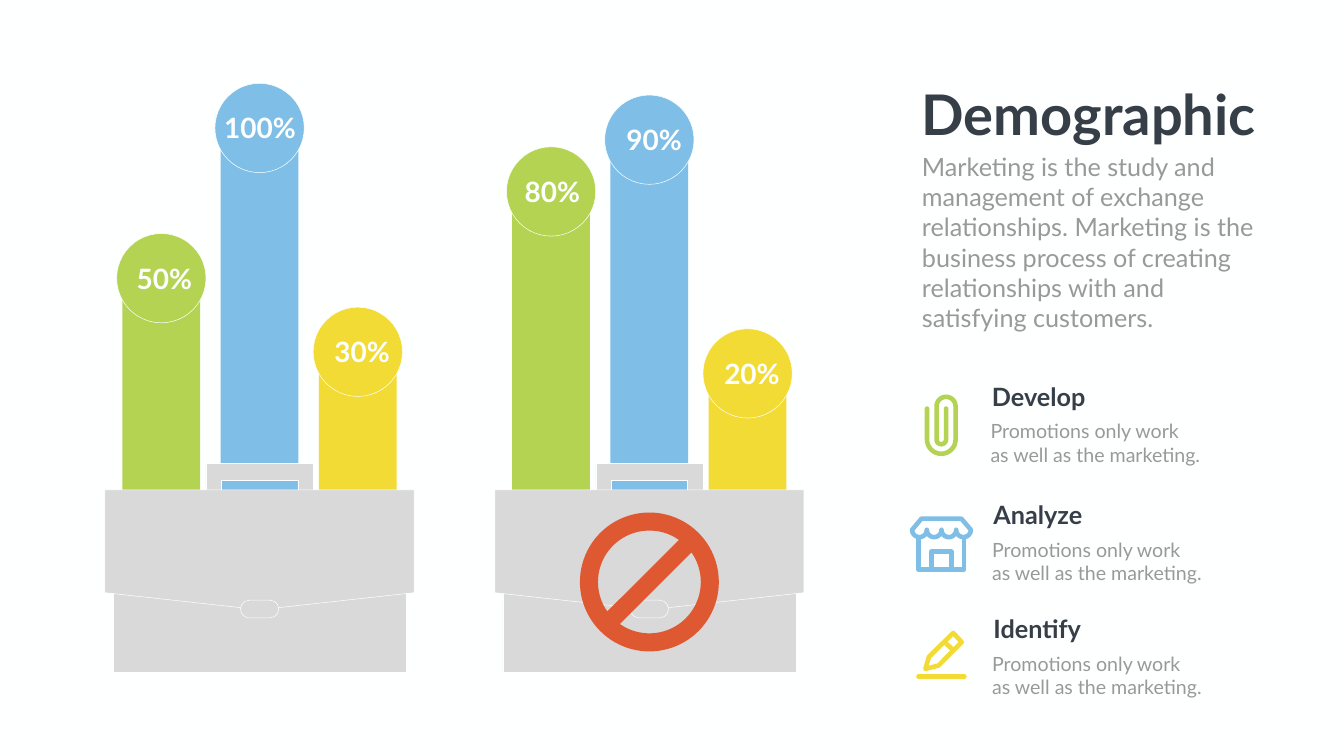
"""Build the Demographic slide with two briefcase bar charts and three topics."""
from math import cos, radians, sin

from lxml.etree import SubElement
from pptx import Presentation
from pptx.dml.color import RGBColor
from pptx.enum.shapes import MSO_SHAPE as Preset
from pptx.enum.text import MSO_ANCHOR as Anchor, MSO_AUTO_SIZE as AutoSize, PP_ALIGN as Align
from pptx.oxml.ns import qn
from pptx.util import Cm, Pt

FONT = "Lato"
WHITE = RGBColor(0xFE, 0xFF, 0xFF)
GREEN = RGBColor(0xB4, 0xD3, 0x52)
BLUE = RGBColor(0x7F, 0xBE, 0xE7)
YELLOW = RGBColor(0xF2, 0xDB, 0x34)
SILVER = RGBColor(0xD9, 0xD9, 0xD9)
RED = RGBColor(0xDE, 0x59, 0x31)
DARK = RGBColor(0x36, 0x3E, 0x48)
GRAY = RGBColor(0x99, 0x99, 0x99)

BASE = 24.69
BAR_WIDTH = 3.92
BAR_STEP = 4.95
BUBBLE = 4.5
LABEL_WIDTH, LABEL_HEIGHT = 4.62, 1.96
BAR_COLORS = (GREEN, BLUE, YELLOW)
CASES = (
    (13.08, (("50%", 14.02, 0.15), ("100%", 6.45, 0.02), ("30%", 17.73, 0.22))),
    (32.72, (("80%", 9.65, 0.06), ("90%", 7.04, 0.24), ("20%", 18.82, 0.22))),
)
TOPICS = (("Develop", 49.73, 19.08), ("Analyze", 49.81, 25.04), ("Identify", 49.81, 30.78))
DETAILS = ("Promotions only work", "as well as the marketing.")
DESCRIPTION = (
    "Marketing is the study and management of exchange relationships. Marketing is the "
    "business process of creating relationships with and satisfying customers."
)


def paint(shape, color, outlined=False):
    """Fill a shape and optionally give it a thin white outline."""
    shape.shadow.inherit = False
    shape.fill.solid()
    shape.fill.fore_color.rgb = color
    if outlined:
        shape.line.color.rgb = WHITE
        shape.line.width = Pt(0.75)
    else:
        shape.line.fill.background()


def add_preset(slide, preset, center, top, width, height, color, outlined=False):
    """Add a preset shape centred horizontally on a given line."""
    shape = slide.shapes.add_shape(
        preset, Cm(center - width / 2), Cm(top), Cm(width), Cm(height))
    paint(shape, color, outlined)
    return shape


def add_outline(slide, points, closed=True):
    """Add a freeform through points given in centimetres."""
    corners = [(Cm(x), Cm(y)) for x, y in points]
    builder = slide.shapes.build_freeform(*corners[0])
    builder.add_line_segments(corners[1:], close=closed)
    return builder.convert_to_shape()


def add_stroke(slide, points, color, closed=False):
    """Add an unfilled thick line with round ends and joins."""
    shape = add_outline(slide, points, closed)
    shape.shadow.inherit = False
    shape.fill.background()
    shape.line.color.rgb = color
    shape.line.width = Cm(0.23)
    line = shape.line._get_or_add_ln()
    line.set("cap", "rnd")
    SubElement(line, qn("a:round"))


def arc(center_x, center_y, radius, start, end, steps=16):
    """Return points along a circular arc between two angles in degrees."""
    angles = [radians(start + (end - start) * step / steps) for step in range(steps + 1)]
    return [(center_x + radius * cos(a), center_y + radius * sin(a)) for a in angles]


def fill_text(shape, lines, size, color, bold=False, align=Align.LEFT):
    """Write and format one paragraph per line, without bullets."""
    frame = shape.text_frame
    frame.word_wrap = True
    frame.auto_size = AutoSize.NONE
    frame.vertical_anchor = Anchor.TOP
    frame.text = "\n".join(lines)
    for paragraph in frame.paragraphs:
        properties = paragraph._p.get_or_add_pPr()
        properties.set("marL", "0")
        properties.set("indent", "0")
        SubElement(properties, qn("a:buNone"))
        paragraph.alignment = align
        paragraph.space_before = Pt(0)
        font = paragraph.font
        font.name, font.size, font.bold = FONT, Pt(size), bold
        font.color.rgb = color


def add_text(slide, left, top, width, height, lines, size, color, bold=False, align=Align.LEFT):
    """Add a formatted text box."""
    box = slide.shapes.add_textbox(Cm(left), Cm(top), Cm(width), Cm(height))
    fill_text(box, lines, size, color, bold, align)


def place(shape, left, top, width, height):
    """Move and size a placeholder."""
    shape.left, shape.top, shape.width, shape.height = Cm(left), Cm(top), Cm(width), Cm(height)


def bar_centers(center):
    """Return the centre lines of the three bars of a briefcase."""
    return [center + BAR_STEP * offset for offset in (-1, 0, 1)]


def add_briefcase(slide, center, bars):
    """Draw the bars and the briefcase that holds them."""
    for x, color, (_, top, _) in zip(bar_centers(center), BAR_COLORS, bars):
        add_preset(slide, Preset.RECTANGLE, x, top, BAR_WIDTH, BASE - top, color)
    handle = [(-2.7, 24.84), (-2.7, 23.37), (2.7, 23.37), (2.7, 24.84),
              (1.93, 24.84), (1.93, 24.18), (-1.93, 24.18), (-1.93, 24.84)]
    flap = [(-7.79, BASE), (7.79, BASE), (7.79, 29.87), (0, 30.73), (-7.79, 29.87)]
    paint(add_outline(slide, [(center + x, y) for x, y in handle]), SILVER, True)
    add_preset(slide, Preset.RECTANGLE, center, 25.53, 14.77, 8.35, SILVER, True)
    paint(add_outline(slide, [(center + x, y) for x, y in flap]), SILVER, True)
    clasp = add_preset(slide, Preset.ROUNDED_RECTANGLE, center, 30.25, 1.93, 0.89, SILVER, True)
    clasp.adjustments[0] = 0.5


def add_bubbles(slide, center, bars):
    """Draw the labelled circles on top of the bars."""
    for x, color, (label, top, nudge) in zip(bar_centers(center), BAR_COLORS, bars):
        add_preset(slide, Preset.OVAL, x, top - BUBBLE / 2, BUBBLE, BUBBLE, color, True)
        add_text(slide, x + nudge - LABEL_WIDTH / 2, top - LABEL_HEIGHT / 2,
                 LABEL_WIDTH, LABEL_HEIGHT, [label], 40, WHITE, True, Align.CENTER)


def add_ban_sign(slide, center):
    """Draw the prohibition sign over a briefcase."""
    sign = add_preset(slide, Preset.NO_SYMBOL, center, 25.83, 7, 7, RED)
    sign.adjustments[0] = 0.13
    sign.rotation = 90


def add_paperclip(slide):
    """Draw the paperclip icon."""
    add_stroke(slide, [(46.71, 20.59), *arc(47.43, 22.15, 0.72, 180, 0),
                       *arc(47.67, 20.48, 0.48, 0, -180),
                       *arc(47.43, 22.15, 0.24, 180, 0), (47.67, 20.59)], GREEN)


def add_store(slide):
    """Draw the store icon."""
    awning = [(46.43, 26.14), (48.44, 26.14)]
    for index in reversed(range(4)):
        awning += arc(46.33 + 0.74 * index, 26.7, 0.37, 0, 180)
    add_stroke(slide, awning, BLUE, closed=True)
    for left, right, top in ((46.28, 48.58, 27.08), (46.94, 47.93, 27.8)):
        add_stroke(slide, [(left, top), (left, 28.7), (right, 28.7), (right, top)]
                   if top < 27.5 else
                   [(left, 28.7), (left, top), (right, top), (right, 28.7)], BLUE)


def add_pencil(slide):
    """Draw the pencil icon with its underline."""
    add_stroke(slide, [(46.63, 33.71), (46.81, 33.1), (48.03, 31.9),
                       (48.46, 32.36), (47.29, 33.54)], YELLOW, closed=True)
    add_stroke(slide, [(47.65, 32.41), (47.98, 32.72)], YELLOW)
    add_stroke(slide, [(46.28, 34.1), (48.59, 34.1)], YELLOW)


def main():
    """Build and save the slide."""
    presentation = Presentation()
    presentation.slide_width, presentation.slide_height = Cm(67.72), Cm(38.1)
    slide = presentation.slides.add_slide(presentation.slide_layouts[1])
    slide.background.fill.solid()
    slide.background.fill.fore_color.rgb = WHITE
    title, body = slide.placeholders
    place(title, 46.18, 3.89, 17.68, 3.68)
    fill_text(title, ["Demographic"], 80, DARK, True)
    place(body, 46.2, 7.49, 17.65, 9.5)
    fill_text(body, [DESCRIPTION], 36, GRAY)
    for center, bars in CASES:
        add_briefcase(slide, center, bars)
    add_ban_sign(slide, CASES[1][0])
    for center, bars in CASES:
        add_bubbles(slide, center, bars)
    for add_icon in (add_paperclip, add_store, add_pencil):
        add_icon(slide)
    for heading, left, top in TOPICS:
        add_text(slide, left, top, 6.63, 1.8, [heading], 36, DARK, True)
        add_text(slide, left - 0.07, top + 1.93, 12.65, 2.64, DETAILS, 28, GRAY)
    presentation.save("out.pptx")


if __name__ == "__main__":
    main()
